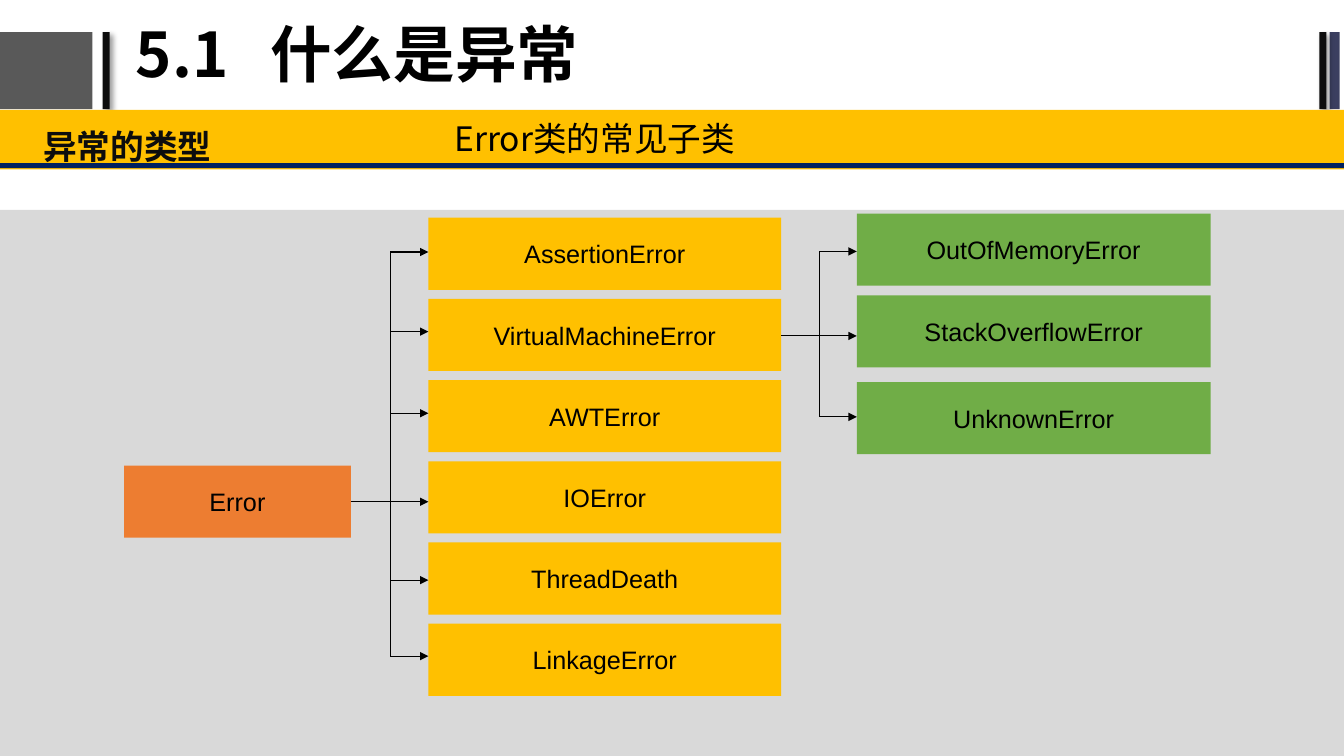
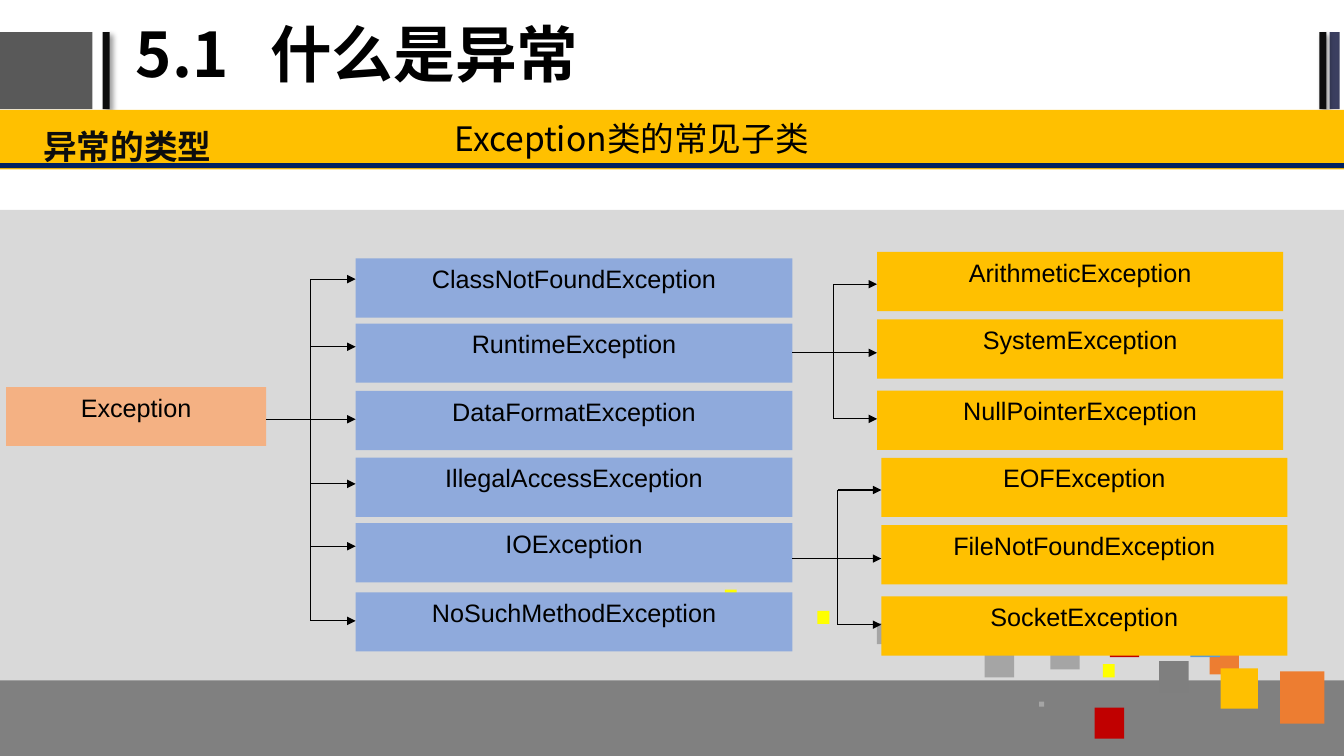
from dataclasses import dataclass

from lxml.etree import SubElement
from pptx import Presentation
from pptx.dml.color import RGBColor
from pptx.enum.shapes import MSO_CONNECTOR, MSO_SHAPE
from pptx.enum.text import MSO_ANCHOR, MSO_AUTO_SIZE, PP_ALIGN
from pptx.oxml.ns import qn
from pptx.util import Pt


@dataclass(frozen=True)
class Theme:
    """Colours, fonts and type sizes of the deck."""
    black: str = "000000"
    ink: str = "0D0D0D"
    charcoal: str = "595959"
    slate: str = "3B3F60"
    navy: str = "002060"
    gold: str = "FFC000"
    orange: str = "ED7D31"
    peach: str = "F4B183"
    green: str = "70AD47"
    periwinkle: str = "8FAADC"
    blue: str = "5B9BD5"
    red: str = "C00000"
    yellow: str = "FFFF00"
    silver: str = "A5A5A5"
    grey: str = "7F7F7F"
    footer: str = "808080"
    panel: str = "D9D9D9"
    heading_font: str = "Noto Sans CJK SC"
    node_font: str = "Arial"
    title_size: int = 44
    heading_size: int = 24
    node_size: int = 18
    line_width: float = 0.75


THEME = Theme()
WIDTH, HEIGHT = 960, 540

SQUARES = [
    (THEME.orange, 914.4, 479.5, 31.7, 37.4),
    (THEME.orange, 864, 459.4, 21, 22.3),
    (THEME.gold, 871.9, 477.4, 26.6, 28.8),
    (THEME.blue, 850.3, 447.1, 21, 22.3),
    (THEME.silver, 742.3, 501.1, 3.6, 3.6),
    (THEME.yellow, 787.7, 474.5, 8.6, 9.4),
    (THEME.silver, 750.2, 455.8, 21, 22.3),
    (THEME.red, 792.7, 447.1, 21, 22.3),
    (THEME.grey, 828, 472.3, 21, 22.3),
    (THEME.red, 781.9, 505.4, 21, 22.3),
    (THEME.yellow, 583.9, 436.3, 8.6, 9.4),
    (THEME.silver, 626.4, 445, 14.4, 15.1),
    (THEME.silver, 703.4, 461.5, 21, 22.3),
    (THEME.yellow, 517.7, 421.2, 8.6, 9.4),
]


def set_values(target, values):
    """Set each attribute named in a dict."""
    for name, value in values.items():
        setattr(target, name, value)


def add_block(page, color, left, top, width, height):
    """Add a plain filled rectangle."""
    block = page.shapes.add_shape(
        MSO_SHAPE.RECTANGLE, Pt(left), Pt(top), Pt(width), Pt(height))
    block.shadow.inherit = False
    block.fill.solid()
    block.fill.fore_color.rgb = RGBColor.from_string(color)
    block.line.fill.background()
    return block


def add_shadow(block):
    """Give a block a soft shadow to the lower right."""
    effects = block.element.spPr.find(qn("a:effectLst"))
    shadow = SubElement(effects, qn("a:outerShdw"), blurRad=str(Pt(4)),
                        dist=str(Pt(3)), dir="2700000", algn="tl", rotWithShape="0")
    color = SubElement(shadow, qn("a:srgbClr"), val=THEME.black)
    SubElement(color, qn("a:alpha"), val="40000")


def write_text(box, text, font, size, color=THEME.black, bold=False,
               frame_format=None, para_format=None):
    """Write one formatted paragraph into a shape."""
    frame = box.text_frame
    set_values(frame, {"word_wrap": True, **(frame_format or {})})
    para = frame.paragraphs[0]
    set_values(para, para_format or {})
    span = para.add_run()
    span.text = text
    set_values(span.font, {"name": font, "size": Pt(size), "bold": bold})
    span.font.color.rgb = RGBColor.from_string(color)
    SubElement(span.font._element, qn("a:ea"), typeface=font)
    return para


def add_heading(page, text, area, size=THEME.heading_size, **formats):
    """Add a text box in the heading font."""
    box = page.shapes.add_textbox(*map(Pt, area))
    return write_text(box, text, THEME.heading_font, size, **formats)


def add_tab_stop(para, position):
    """Add a left tab stop to a paragraph."""
    stops = SubElement(para._p.get_or_add_pPr(), qn("a:tabLst"))
    SubElement(stops, qn("a:tab"), pos=str(Pt(position)), algn="l")


def add_line(page, start, end, arrow=False):
    """Add a thin straight line, with an arrowhead if asked."""
    line = page.shapes.add_connector(MSO_CONNECTOR.STRAIGHT, *map(Pt, start + end))
    line.line.color.rgb = RGBColor.from_string(THEME.black)
    line.line.width = Pt(THEME.line_width)
    properties = line.element.spPr
    if arrow:
        SubElement(properties.find(qn("a:ln")), qn("a:tailEnd"), type="triangle")
    SubElement(properties, qn("a:effectLst"))


def add_branch(page, start_x, trunk_x, end_x, stem_y, arrow_ys):
    """Add a stem, a trunk and an arrow to each child."""
    add_line(page, (start_x, stem_y), (trunk_x, stem_y))
    add_line(page, (trunk_x, arrow_ys[0]), (trunk_x, arrow_ys[-1]))
    for y in arrow_ys:
        add_line(page, (trunk_x, y), (end_x, y), arrow=True)


def add_nodes(page, names, tops, left, width, height, color, anchor):
    """Add a column of class boxes."""
    for name, top in zip(names, tops):
        box = add_block(page, color, left, top, width, height)
        write_text(box, name, THEME.node_font, THEME.node_size,
                   frame_format={"vertical_anchor": anchor},
                   para_format={"alignment": PP_ALIGN.CENTER})


def add_page(deck, subtitle):
    """Add a slide with the shared title, bands and panel."""
    page = deck.slides.add_slide(deck.slide_layouts[6])
    add_block(page, THEME.charcoal, 0, 23, 66, 55)
    add_block(page, THEME.slate, 949.7, 23, 7.2, 55)
    for left in (73.4, 942.5):
        add_shadow(add_block(page, THEME.ink, left, 23, 5, 55))
    title = add_heading(
        page, "5.1\t什么是异常", (90, 1.4, 610, 79.2), THEME.title_size, bold=True,
        frame_format={"vertical_anchor": MSO_ANCHOR.MIDDLE},
        para_format={"line_spacing": 0.9})
    add_tab_stop(title, 96)
    add_block(page, THEME.gold, 0, 78.5, WIDTH, 42.5)
    add_heading(
        page, "异常的类型", (21.6, 79.2, 938.4, 41.8), color=THEME.ink, bold=True,
        frame_format={"margin_left": Pt(9.4), "margin_right": Pt(9.4),
                      "margin_top": Pt(5), "margin_bottom": Pt(5)},
        para_format={"line_spacing": 1.2, "space_before": Pt(4.8)})
    add_block(page, THEME.navy, 0, 116.6, WIDTH, 3.6)
    add_block(page, THEME.panel, 0, 150, WIDTH, HEIGHT - 150)
    add_heading(
        page, subtitle, (317.5, 80.6, 282, 36),
        frame_format={"vertical_anchor": MSO_ANCHOR.MIDDLE,
                      "auto_size": MSO_AUTO_SIZE.SHAPE_TO_FIT_TEXT})
    return page


def add_error_page(deck):
    """Add the tree of Error subclasses."""
    page = add_page(deck, "Error类的常见子类")
    anchor = MSO_ANCHOR.MIDDLE
    children = ["AssertionError", "VirtualMachineError", "AWTError",
                "IOError", "ThreadDeath", "LinkageError"]
    tops = [155.5 + 58 * row for row in range(len(children))]
    add_nodes(page, ["Error"], [332.6], 88.6, 162, 51.5, THEME.orange, anchor)
    add_nodes(page, children, tops, 306, 252, 51.5, THEME.gold, anchor)
    add_nodes(page, ["OutOfMemoryError", "StackOverflowError", "UnknownError"],
              [152.6, 211, 272.9], 612, 252.7, 51.5, THEME.green, anchor)
    add_branch(page, 250.6, 278.6, 306, 358.4,
               [180, 236.9, 295.2, 358.4, 414.4, 468.7])
    add_branch(page, 558, 585.6, 612, 240, [179.6, 240, 297.8])


def add_exception_page(deck):
    """Add the tree of Exception subclasses."""
    page = add_page(deck, "Exception类的常见子类")
    anchor = MSO_ANCHOR.TOP
    add_block(page, THEME.footer, 0, 486, WIDTH, HEIGHT - 486)
    for square in SQUARES:
        add_block(page, *square)
    add_nodes(page, ["Exception"], [276.5], 4.3, 185.8, 42, THEME.peach, anchor)
    add_nodes(page, ["ClassNotFoundException", "RuntimeException",
                     "DataFormatException", "IllegalAccessException",
                     "IOException", "NoSuchMethodException"],
              [184.6, 231.1, 279.2, 326.9, 373.7, 423.1],
              254, 312, 42.3, THEME.periwinkle, anchor)
    add_branch(page, 190, 222, 254, 299.5,
               [199.4, 247.7, 299.5, 345.6, 390.2, 443.5])
    groups = [
        ["ArithmeticException", "SystemException", "NullPointerException"],
        ["EOFException", "FileNotFoundException", "SocketException"],
    ]
    for index, names in enumerate(groups):
        right, down = 3 * index, 147 * index
        tops = [top + down for top in (180, 228.2, 279)]
        arrow_ys = [y + down for y in (203, 252, 299.2)]
        add_nodes(page, names, tops, 626.5 + right, 290, 42.3, THEME.gold, anchor)
        add_branch(page, 566, 595.5 + right, 626.5 + right, arrow_ys[1], arrow_ys)


def main():
    """Build and save the deck."""
    deck = Presentation()
    set_values(deck, {"slide_width": Pt(WIDTH), "slide_height": Pt(HEIGHT)})
    add_error_page(deck)
    add_exception_page(deck)
    deck.save("out.pptx")


if __name__ == "__main__":
    main()
